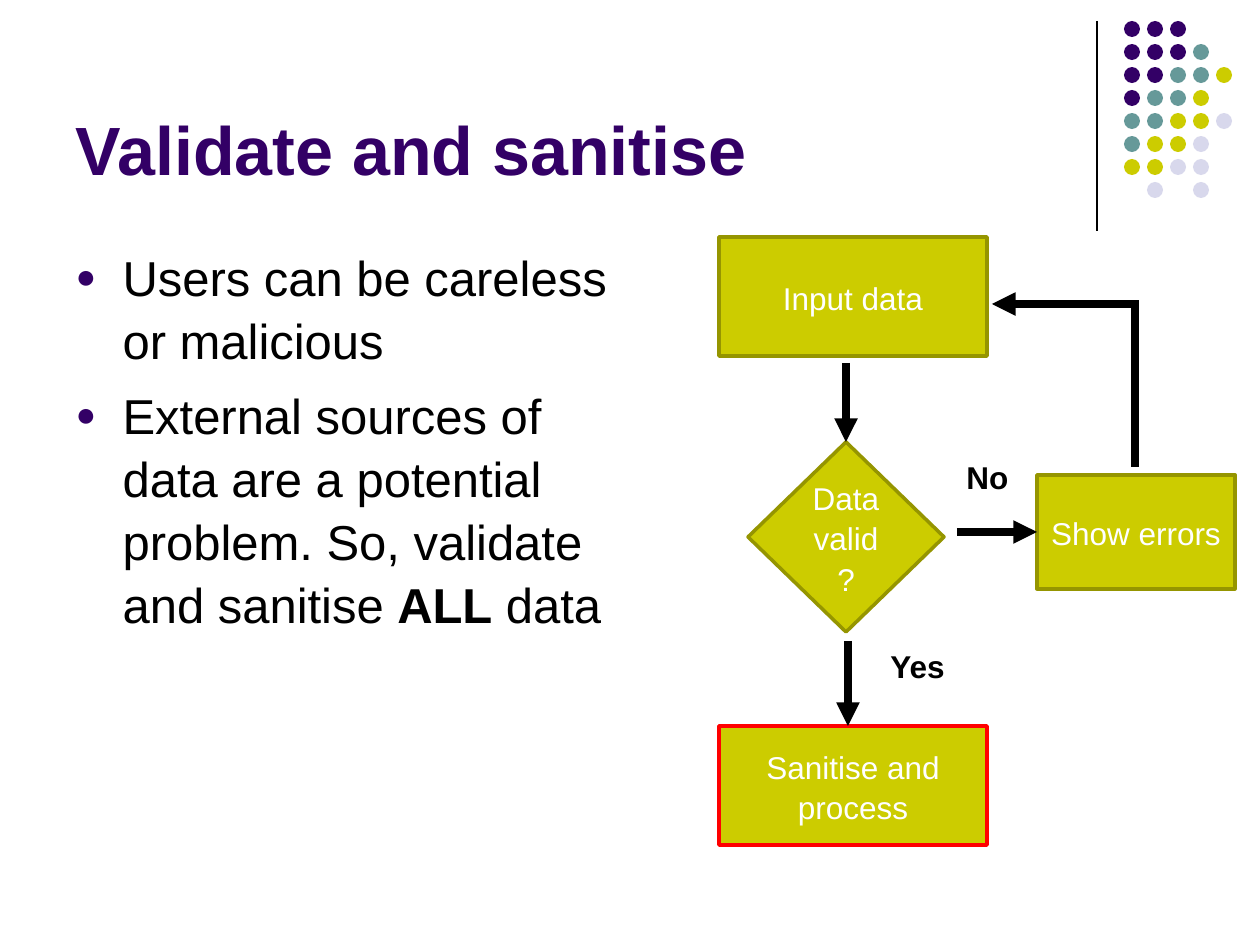
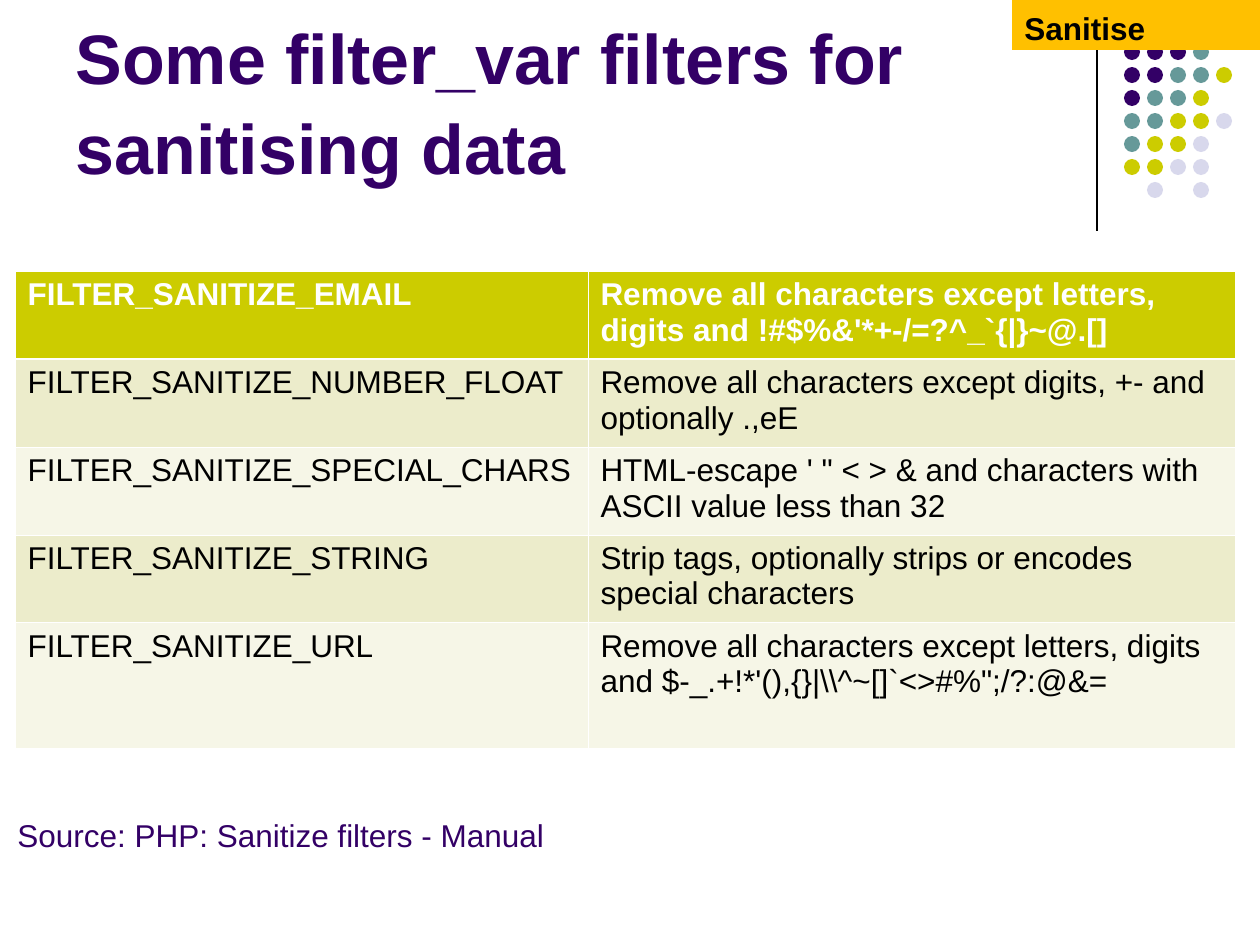
from lxml import etree
from pptx import Presentation
from pptx import util as u
from pptx.dml.color import RGBColor
from pptx.enum import shapes, text
from pptx.oxml import ns

FONT = "Arial"
LINE_SPACING = 1.07
COLOURS = {
    "purple": "330066",
    "teal": "669999",
    "olive": "CCCC00",
    "olive_dark": "959500",
    "lavender": "D8D8EC",
    "row_odd": "ECECCB",
    "row_even": "F6F6E7",
    "amber": "FFC000",
    "red": "FF0000",
    "black": "000000",
    "white": "FFFFFF",
}
DOT_COLOURS = {"P": "purple", "T": "teal", "Y": "olive", "L": "lavender"}
DOT_ROWS = ["PPP", "PPPT", "PPTTY", "PTTY", "TTYYL", "TYYL", "YYLL", " L L"]
DOT_PITCH = 23
DOT_SIZE = 16

TITLE_BOX = (63, 16, 1040, 179)
FILTERS = [
    ("FILTER_SANITIZE_EMAIL",
     "Remove all characters except letters, digits and !#$%&'*+-/=?^_`{|}~@.[]"),
    ("FILTER_SANITIZE_NUMBER_FLOAT",
     "Remove all characters except digits, +- and optionally .,eE"),
    ("FILTER_SANITIZE_SPECIAL_CHARS",
     "HTML-escape ' \" < > & and characters with ASCII value less than 32"),
    ("FILTER_SANITIZE_STRING",
     "Strip tags, optionally strips or encodes special characters"),
    ("FILTER_SANITIZE_URL",
     "Remove all characters except letters, digits and "
     "$-_.+!*'(),{}|\\\\^~[]`<>#%\";/?:@&="),
]


def px(length):
    return u.Emu(round(length * 914400 / 126))


def emu_box(box):
    return [px(length) for length in box]


def colour(name):
    return RGBColor.from_string(COLOURS[name])


def add_child(parent, tag, **attributes):
    return etree.SubElement(parent, ns.qn(tag), attributes)


def add_run(paragraph, wording, size, colour_name, bold=False):
    run = paragraph.add_run()
    run.text = wording
    run.font.name = FONT
    run.font.size = u.Pt(size)
    run.font.bold = bold
    run.font.color.rgb = colour(colour_name)


def place(shape, box):
    shape.left, shape.top, shape.width, shape.height = emu_box(box)


def add_title(slide, wording, size):
    title = slide.shapes.title
    place(title, TITLE_BOX)
    frame = title.text_frame
    frame.auto_size = text.MSO_AUTO_SIZE.NONE
    frame.vertical_anchor = text.MSO_ANCHOR.BOTTOM
    paragraph = frame.paragraphs[0]
    paragraph.alignment = text.PP_ALIGN.LEFT
    paragraph.line_spacing = LINE_SPACING
    add_run(paragraph, wording, size, "purple", bold=True)


def add_block(container, kind, box, fill, outline=None):
    block = container.add_shape(kind, *emu_box(box))
    block.shadow.inherit = False
    block.fill.solid()
    block.fill.fore_color.rgb = colour(fill)
    if outline:
        block.line.color.rgb = colour(outline)
        block.line.width = u.Pt(2)
    else:
        block.line.fill.background()
    return block


def add_line(slide, start, end, width, arrow=False):
    line = slide.shapes.add_connector(
        shapes.MSO_CONNECTOR.STRAIGHT, *emu_box(start + end))
    line.line.color.rgb = colour("black")
    line.line.width = u.Pt(width)
    if arrow:
        add_child(line.line._get_or_add_ln(), "a:tailEnd", type="triangle")
    add_child(line._element.spPr, "a:effectLst")
    return line


def add_label(slide, box, wording, colour_name="black", bold=True, wrap=False):
    label = slide.shapes.add_textbox(*emu_box(box))
    label.text_frame.word_wrap = wrap
    add_run(label.text_frame.paragraphs[0], wording, 18, colour_name, bold)


def add_dot_motif(slide, left, top, first_row=0):
    """Draw the corner rule and its dots, starting at the given dot row."""
    add_line(slide, (left, top), (left, top + 210), 0.75)
    dots = slide.shapes.add_group_shape()
    for row, pattern in enumerate(DOT_ROWS):
        for column, key in enumerate(pattern):
            if row >= first_row and key in DOT_COLOURS:
                box = (left + 27 + column * DOT_PITCH, top + row * DOT_PITCH,
                       DOT_SIZE, DOT_SIZE)
                add_block(dots.shapes, shapes.MSO_SHAPE.OVAL, box, DOT_COLOURS[key])


def add_bullets(body, box, items):
    """Fill the body placeholder; each item is a list of (wording, bold)."""
    place(body, box)
    frame = body.text_frame
    frame.auto_size = text.MSO_AUTO_SIZE.NONE
    for index, item in enumerate(items):
        paragraph = frame.add_paragraph() if index else frame.paragraphs[0]
        paragraph.line_spacing = LINE_SPACING
        paragraph.space_before = u.Pt(7)
        properties = paragraph._p.get_or_add_pPr()
        properties.set("marL", str(px(47)))
        properties.set("indent", str(-px(47)))
        bullet_colour = add_child(properties, "a:buClr")
        add_child(bullet_colour, "a:srgbClr", val=COLOURS["purple"])
        add_child(properties, "a:buSzPct", val="70000")
        add_child(properties, "a:buFont", typeface=FONT)
        add_child(properties, "a:buChar", char="●")
        for wording, bold in item:
            add_run(paragraph, wording, 28, "black", bold)


def add_step(slide, kind, box, wording, outline="olive_dark"):
    step = add_block(slide.shapes, kind, box, "olive", outline)
    frame = step.text_frame
    frame.word_wrap = True
    frame.vertical_anchor = text.MSO_ANCHOR.MIDDLE
    paragraph = frame.paragraphs[0]
    paragraph.alignment = text.PP_ALIGN.CENTER
    paragraph.line_spacing = LINE_SPACING
    add_run(paragraph, wording, 18, "white")
    return step


def add_flowchart(slide, left, top):
    def at(x, y):
        return left + x, top + y

    def arrow(start, end):
        return add_line(slide, at(*start), at(*end), 4.5, arrow=True)

    kinds = shapes.MSO_SHAPE
    process_size = (268, 119)
    add_step(slide, kinds.FLOWCHART_PROCESS, at(0, 0) + process_size, "Input data")
    decision = add_step(slide, kinds.FLOWCHART_DECISION,
                        at(29, 205) + (196, 190), "Data valid?")
    add_step(slide, kinds.FLOWCHART_PROCESS, at(0, 489) + process_size,
             "Sanitise and process", outline="red")
    errors = add_step(slide, kinds.RECTANGLE, at(318, 238) + (198, 114), "Show errors")

    arrow((127, 126), (127, 205)).end_connect(decision, 0)
    arrow((129, 404), (129, 489))
    arrow((238, 295), (318, 295)).end_connect(errors, 1)
    add_line(slide, at(416, 230), at(416, 67), 4.5)
    arrow((420, 67), (273, 67))

    add_label(slide, at(235, 215) + (67, 50), "No")
    add_label(slide, at(159, 404) + (80, 50), "Yes")


def set_cell_borders(cell, top_width, bottom_width):
    properties = cell._tc.get_or_add_tcPr()
    widths = {"a:lnL": 0.45, "a:lnR": 0.45, "a:lnT": top_width, "a:lnB": bottom_width}
    for tag, width in widths.items():
        border = add_child(properties, tag, w=str(u.Pt(width)))
        add_child(add_child(border, "a:solidFill"), "a:srgbClr", val=COLOURS["white"])


def add_filter_table(slide, left, top):
    widths = [573, 647]
    heights = [88] * 4 + [126]
    table = slide.shapes.add_table(
        len(FILTERS), len(widths),
        *emu_box((left, top, sum(widths), sum(heights)))).table
    for column, width in zip(table.columns, widths):
        column.width = px(width)
    for index, (row, height) in enumerate(zip(table.rows, heights)):
        row.height = px(height)
        header = index == 0
        fill = "olive" if header else "row_odd" if index % 2 else "row_even"
        for cell, wording in zip(row.cells, FILTERS[index]):
            set_cell_borders(cell, 1.47 if index == 1 else 0.45,
                             1.47 if header else 0.45)
            cell.fill.solid()
            cell.fill.fore_color.rgb = colour(fill)
            add_run(cell.text_frame.paragraphs[0], wording, 18,
                    "white" if header else "black", header)


def add_topic_tag(slide, box, wording):
    tag = add_block(slide.shapes, shapes.MSO_SHAPE.RECTANGLE, box, "amber")
    tag.text_frame.word_wrap = True
    tag.text_frame.vertical_anchor = text.MSO_ANCHOR.TOP
    paragraph = tag.text_frame.paragraphs[0]
    paragraph.alignment = text.PP_ALIGN.LEFT
    paragraph.line_spacing = LINE_SPACING
    add_run(paragraph, wording, 18, "black", bold=True)


def build_validation_slide(presentation):
    slide = presentation.slides.add_slide(presentation.slide_layouts[1])
    add_dot_motif(slide, 1097, 21)
    add_title(slide, "Validate and sanitise", 39)
    add_bullets(slide.placeholders[1], (63, 237, 557, 607), [
        [("Users can be careless or malicious", False)],
        [("External sources of data are a potential problem. "
          "So, validate and sanitise ", False),
         ("ALL", True), (" data", False)],
    ])
    add_flowchart(slide, 719, 237)


def build_filters_slide(presentation):
    slide = presentation.slides.add_slide(presentation.slide_layouts[5])
    add_dot_motif(slide, 1097, 21, first_row=1)
    add_title(slide, "Some filter_var filters for sanitising data", 40)
    add_filter_table(slide, 15, 271)
    add_label(slide, (5, 810, 556, 50), "Source: PHP: Sanitize filters - Manual",
              "purple", bold=False, wrap=True)
    add_topic_tag(slide, (1012, 0, 248, 50), "Sanitise")


def main():
    presentation = Presentation()
    presentation.slide_width, presentation.slide_height = px(1260), px(945)
    build_validation_slide(presentation)
    build_filters_slide(presentation)
    presentation.save("out.pptx")


if __name__ == "__main__":
    main()
